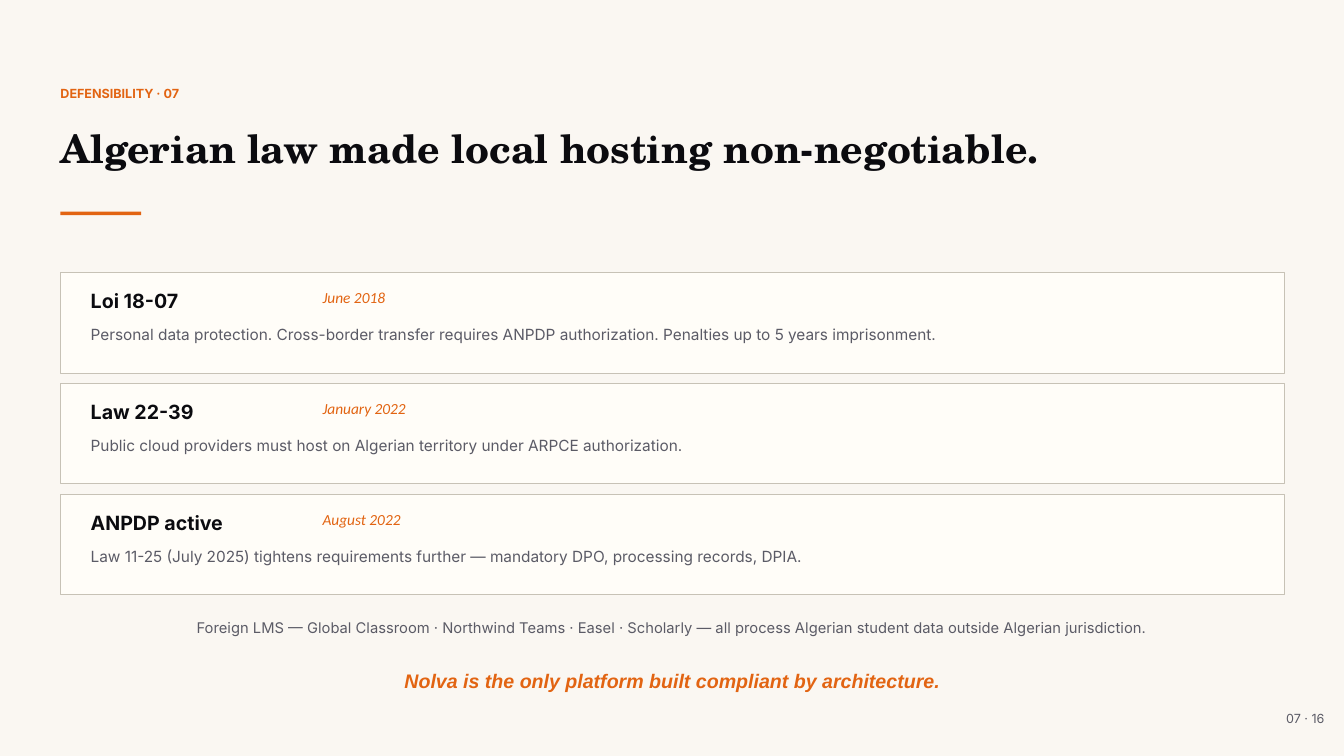
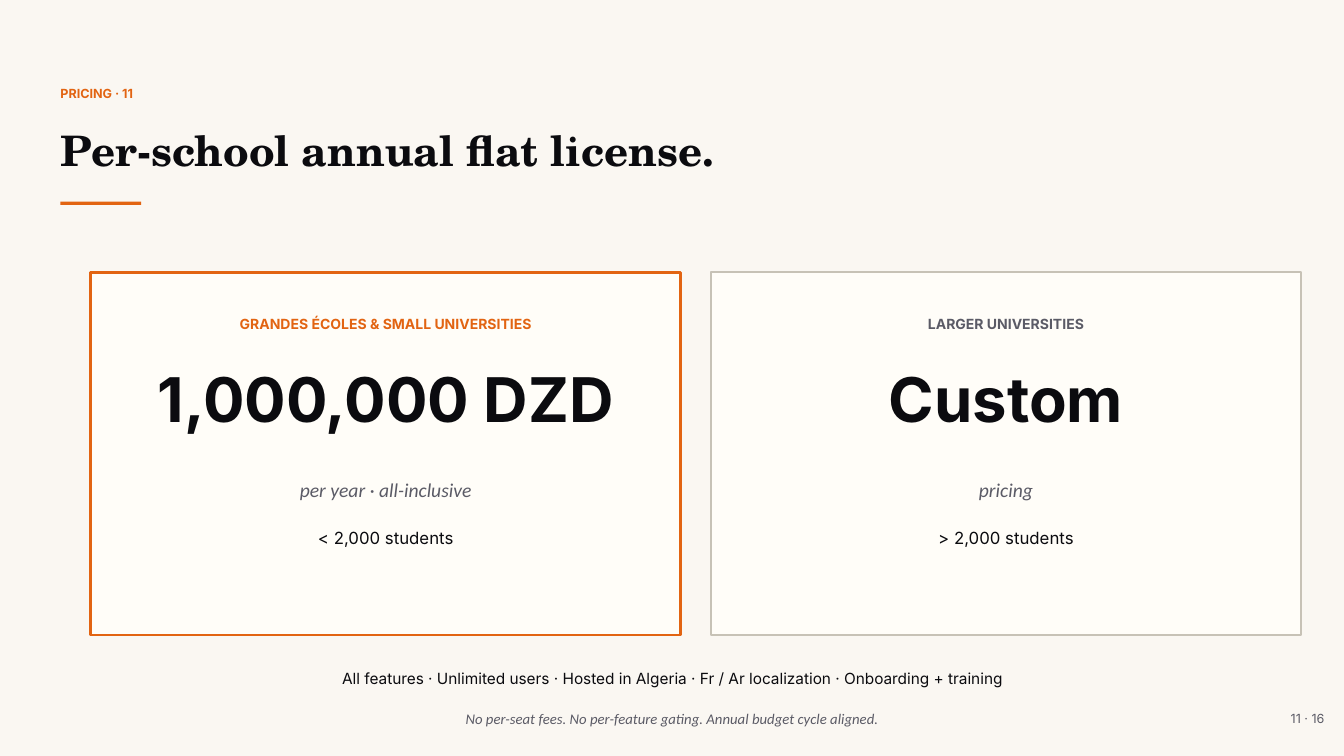
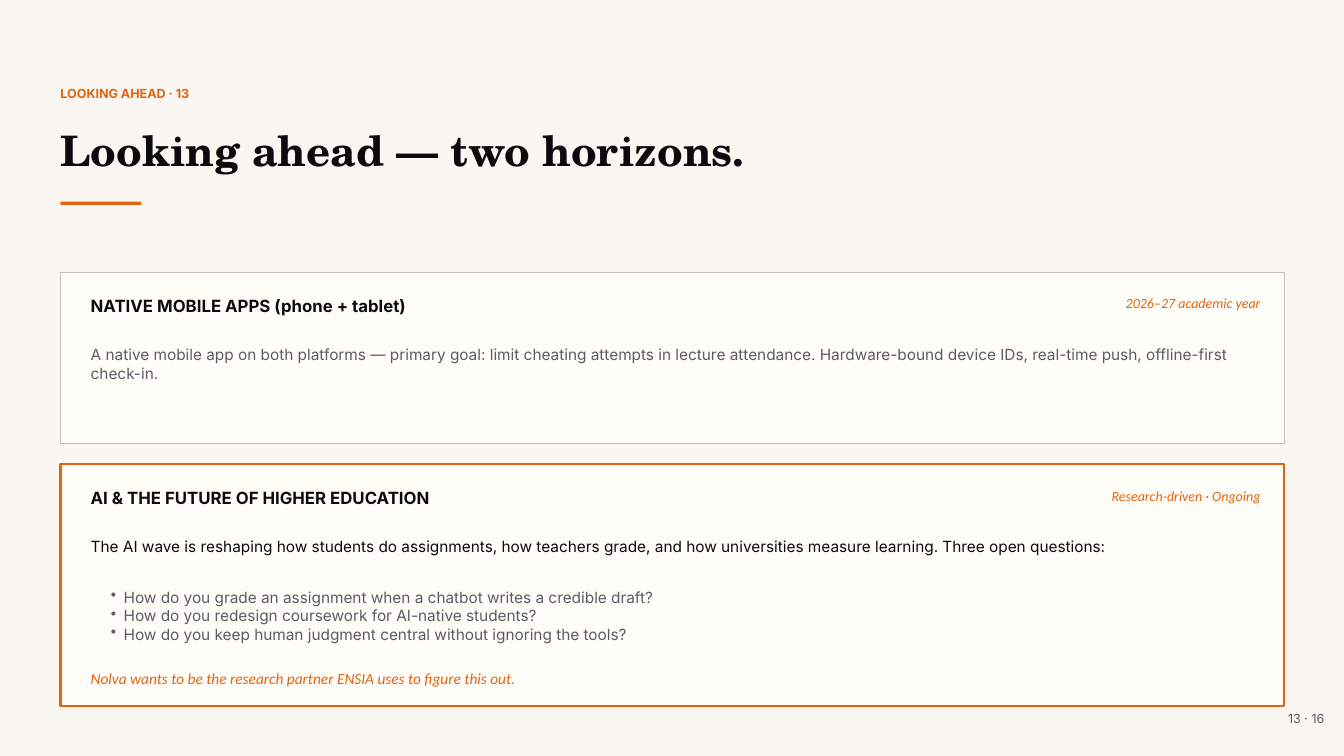
from dataclasses import dataclass

from lxml import etree
from pptx import Presentation
from pptx import util as u
from pptx.dml import color
from pptx.enum import shapes, text
from pptx.oxml import ns


@dataclass(frozen=True)
class Theme:
    # Colours
    paper: str = "FAF7F2"
    card: str = "FFFDF8"
    border: str = "C7C2B6"
    accent: str = "E26412"
    ink: str = "0B0B0F"
    muted: str = "5B5B66"
    # Fonts
    display: str = "TeX Gyre Schola"
    sans: str = "Inter"
    note: str = "Calibri"
    slogan: str = "Arial"
    # Type sizes in points
    label: float = 13.5
    small: float = 15
    remark: float = 15.8
    body: float = 16.5
    medium: float = 18
    large: float = 21
    title: float = 45
    long_title: float = 42
    price: float = 66
    leading: float = 1.2


THEME = Theme()
LEFT, CENTER, RIGHT = text.PP_ALIGN.LEFT, text.PP_ALIGN.CENTER, text.PP_ALIGN.RIGHT
PAGE_COUNT = 16


@dataclass(frozen=True)
class Box:
    left: float
    top: float
    width: float
    height: float

    def inner(self, left, top, width, height):
        return Box(self.left + left, self.top + top, width, height)

    def row(self, top, height):
        return self.inner(0, top, self.width, height)

    def lengths(self):
        return [u.Inches(n) for n in (self.left, self.top, self.width, self.height)]


CONTENT = Box(0.9, 4.05, 18.21, 6.46)


def rgb(value):
    return color.RGBColor.from_string(value)


def add_text(page, box, lines, size, tone=THEME.ink, font=THEME.sans,
             bold=False, italic=False, align=LEFT, bullet_indent=0):
    frame = page.shapes.add_textbox(*box.lengths()).text_frame
    frame.word_wrap = True
    frame.margin_left = frame.margin_right = frame.margin_top = frame.margin_bottom = 0
    frame.text = lines
    for para in frame.paragraphs:
        if bullet_indent:
            add_bullet(para, bullet_indent)
        para.alignment = align
        para.line_spacing = u.Pt(size * THEME.leading)
        for span in para.runs:
            span.font.name = font
            span.font.size = u.Pt(size)
            span.font.bold = bold
            span.font.italic = italic
            span.font.color.rgb = rgb(tone)


def add_bullet(para, indent):
    props = para._p.get_or_add_pPr()
    props.set("marL", str(u.Inches(indent)))
    props.set("indent", str(-u.Inches(indent)))
    etree.SubElement(props, ns.qn("a:buChar")).set("char", "•")


def add_panel(page, box, fill, border=None, weight=0.75):
    panel = page.shapes.add_shape(shapes.MSO_SHAPE.RECTANGLE, *box.lengths())
    panel.shadow.inherit = False
    panel.fill.solid()
    panel.fill.fore_color.rgb = rgb(fill)
    if border:
        panel.line.color.rgb = rgb(border)
        panel.line.width = u.Pt(weight)
    else:
        panel.line.fill.background()


def add_page(deck, section, number, title, title_size=THEME.title, rule_top=3):
    page = deck.slides.add_slide(deck.slide_layouts[6])
    page.background.fill.solid()
    page.background.fill.fore_color.rgb = rgb(THEME.paper)
    # Page number
    add_text(page, Box(18.21, 10.58, 1.5, 0.45), f"{number} · {PAGE_COUNT}",
             THEME.label, THEME.muted, align=RIGHT)
    # Section label, title and short rule
    header = Box(CONTENT.left, 1.28, CONTENT.width, 2.72)
    add_text(page, header.row(0, 0.45), f"{section} · {number}",
             THEME.label, THEME.accent, bold=True)
    add_text(page, header.row(0.57, 0.85), title, title_size,
             font=THEME.display, bold=True)
    add_panel(page, Box(header.left, rule_top, 1.2, 0.05), THEME.accent)
    return page


def add_law_card(page, box, name, date, summary):
    add_panel(page, box, THEME.card, THEME.border)
    add_text(page, box.inner(0.45, 0.25, 3.45, 0.43), name, THEME.large, bold=True)
    add_text(page, box.inner(3.9, 0.24, 2.4, 0.44), date,
             THEME.body, THEME.accent, THEME.note, italic=True)
    add_text(page, box.inner(0.45, 0.79, box.width - 0.95, 0.66), summary,
             THEME.body, THEME.muted)


def add_price_card(page, box, audience, price, terms, students, tone, border, weight):
    add_panel(page, box, THEME.card, border, weight)
    add_text(page, box.row(0.64, 0.36), audience, THEME.small, tone,
             bold=True, align=CENTER)
    add_text(page, box.row(1.32, 1.41), price, THEME.price, bold=True, align=CENTER)
    add_text(page, box.row(3.06, 0.5), terms, THEME.large, THEME.muted,
             THEME.note, italic=True, align=CENTER)
    add_text(page, box.row(3.81, 0.5), students, THEME.medium, align=CENTER)


def add_horizon_card(page, box, heading, timing, summary, tone, border, weight):
    add_panel(page, box, THEME.card, border, weight)
    add_text(page, box.inner(0.45, 0.35, 11.26, 0.43), heading, THEME.medium, bold=True)
    add_text(page, box.inner(box.width - 6.35, 0.34, 6, 0.44), timing,
             THEME.small, THEME.accent, THEME.note, italic=True, align=RIGHT)
    add_text(page, box.inner(0.45, 1.09, box.width - 0.9, 0.66), summary,
             THEME.body, tone)


def build_law_page(deck):
    page = add_page(deck, "DEFENSIBILITY", "07",
                    "Algerian law made local hosting non-negotiable.",
                    THEME.long_title, rule_top=3.15)
    laws = [
        ("Loi 18-07", "June 2018",
         "Personal data protection. Cross-border transfer requires ANPDP "
         "authorization. Penalties up to 5 years imprisonment."),
        ("Law 22-39", "January 2022",
         "Public cloud providers must host on Algerian territory under "
         "ARPCE authorization."),
        ("ANPDP active", "August 2022",
         "Law 11-25 (July 2025) tightens requirements further — mandatory DPO, "
         "processing records, DPIA."),
    ]
    height, gap = 1.5, 0.15
    for index, law in enumerate(laws):
        add_law_card(page, CONTENT.row(index * (height + gap), height), *law)
    # Closing lines
    add_text(page, CONTENT.row(5.16, 0.5),
             "Foreign LMS — Global Classroom · Northwind Teams · Easel · Scholarly — "
             "all process Algerian student data outside Algerian jurisdiction.",
             THEME.remark, THEME.muted, align=CENTER)
    add_text(page, CONTENT.row(5.91, 0.5),
             "Nolva is the only platform built compliant by architecture.",
             THEME.large, THEME.accent, THEME.slogan, bold=True, italic=True,
             align=CENTER)


def build_pricing_page(deck):
    page = add_page(deck, "PRICING", "11", "Per-school annual flat license.")
    plans = [
        ("GRANDES ÉCOLES & SMALL UNIVERSITIES", "1,000,000 DZD",
         "per year · all-inclusive", "< 2,000 students",
         THEME.accent, THEME.accent, 3),
        ("LARGER UNIVERSITIES", "Custom", "pricing", "> 2,000 students",
         THEME.muted, THEME.border, 1.5),
    ]
    width, gap = 8.78, 0.45
    for index, plan in enumerate(plans):
        box = CONTENT.inner(0.45 + index * (width + gap), 0, width, 5.4)
        add_price_card(page, box, *plan)
    # What every license includes
    features = ["All features", "Unlimited users", "Hosted in Algeria",
                "Fr / Ar localization", "Onboarding + training"]
    add_text(page, CONTENT.row(5.9, 0.51), " · ".join(features),
             THEME.body, align=CENTER)
    add_text(page, CONTENT.row(6.51, 0.35),
             "No per-seat fees. No per-feature gating. Annual budget cycle aligned.",
             THEME.remark, THEME.muted, THEME.note, italic=True, align=CENTER)


def build_horizons_page(deck):
    page = add_page(deck, "LOOKING AHEAD", "13", "Looking ahead — two horizons.")
    add_horizon_card(
        page, CONTENT.row(0, 2.55),
        "NATIVE MOBILE APPS (phone + tablet)", "2026–27 academic year",
        "A native mobile app on both platforms — primary goal: limit cheating "
        "attempts in lecture attendance. Hardware-bound device IDs, real-time "
        "push, offline-first check-in.",
        THEME.muted, THEME.border, 0.75)
    research = CONTENT.row(2.86, 3.6)
    add_horizon_card(
        page, research,
        "AI & THE FUTURE OF HIGHER EDUCATION", "Research-driven · Ongoing",
        "The AI wave is reshaping how students do assignments, how teachers grade, "
        "and how universities measure learning. Three open questions:",
        THEME.ink, THEME.accent, 2.25)
    # Open questions and research pledge
    questions = [
        "How do you grade an assignment when a chatbot writes a credible draft?",
        "How do you redesign coursework for AI-native students?",
        "How do you keep human judgment central without ignoring the tools?",
    ]
    add_text(page, research.inner(0.75, 1.84, 17.01, 0.9), "\n".join(questions),
             THEME.body, THEME.muted, bullet_indent=0.19)
    add_text(page, research.inner(0.45, 3.04, 17.31, 0.51),
             "Nolva wants to be the research partner ENSIA uses to figure this out.",
             THEME.body, THEME.accent, THEME.note, italic=True)


def main():
    deck = Presentation()
    deck.slide_width, deck.slide_height = u.Inches(20), u.Inches(11.25)
    build_law_page(deck)
    build_pricing_page(deck)
    build_horizons_page(deck)
    deck.save("out.pptx")


if __name__ == "__main__":
    main()
